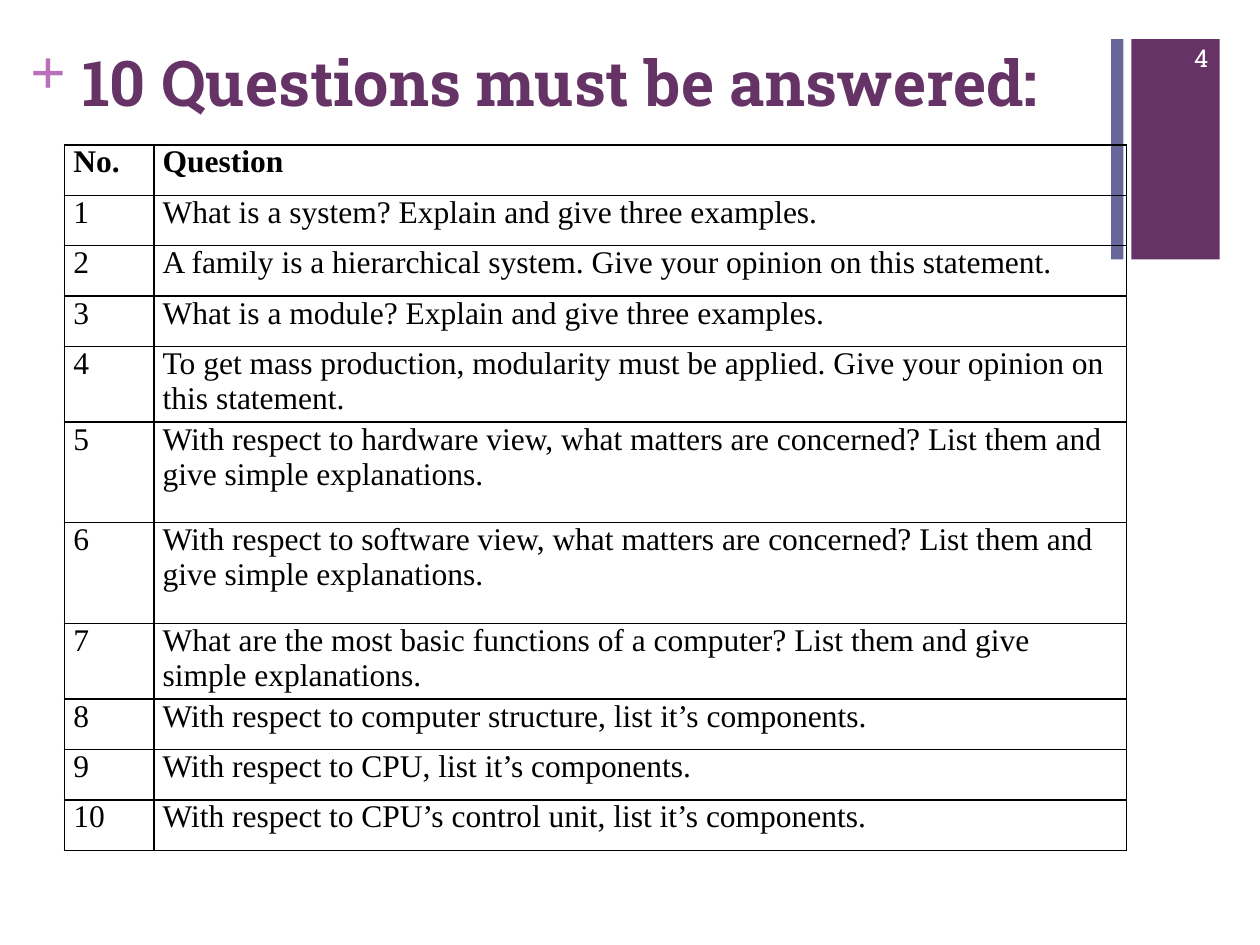
from lxml.etree import SubElement
from pptx import Presentation
from pptx.dml.color import RGBColor
from pptx.enum.shapes import MSO_SHAPE
from pptx.enum.text import MSO_ANCHOR, PP_ALIGN
from pptx.oxml.ns import qn
from pptx.util import Cm, Pt

PURPLE = RGBColor(0x66, 0x33, 0x66)
ORCHID = RGBColor(0xB8, 0x70, 0xB8)
SLATE = RGBColor(0x66, 0x66, 0x99)
WHITE = RGBColor(0xFF, 0xFF, 0xFF)
BLACK = RGBColor(0x00, 0x00, 0x00)
SLAB = "Roboto Slab"
TIMES = "Times New Roman"
NO_MARGINS = dict.fromkeys(
    ("margin_left", "margin_top", "margin_right", "margin_bottom"), Cm(0))
CELL_MARGINS = {**NO_MARGINS, "margin_left": Cm(0.18), "margin_right": Cm(0.18)}

QUESTIONS = [
    "What is a system? Explain and give three examples.",
    "A family is a hierarchical system. Give your opinion on this statement.",
    "What is a module? Explain and give three examples.",
    "To get mass production, modularity must be applied. "
    "Give your opinion on this statement.",
    "With respect to hardware view, what matters are concerned? "
    "List them and give simple explanations.",
    "With respect to software view, what matters are concerned? "
    "List them and give simple explanations.",
    "What are the most basic functions of a computer? "
    "List them and give simple explanations.",
    "With respect to computer structure, list it’s components.",
    "With respect to CPU, list it’s components.",
    "With respect to CPU’s control unit, list it’s components.",
]
TALL_ROWS = (5, 6)


def apply(target, values):
    """Set every attribute named in values on target."""
    for name, value in values.items():
        setattr(target, name, value)


def write(frame, text, color, align=PP_ALIGN.LEFT, **font):
    """Fill a text frame with one formatted paragraph."""
    para = frame.paragraphs[0]
    para.alignment = align
    span = para.add_run()
    span.text = text
    apply(span.font, font)
    span.font.color.rgb = color


def add_bar(page, left, width, color):
    """Add a plain vertical bar at the top right."""
    bar = page.shapes.add_shape(
        MSO_SHAPE.RECTANGLE, Cm(left), Cm(0.79), Cm(width), Cm(4.44))
    bar.shadow.inherit = False
    bar.fill.solid()
    bar.fill.fore_color.rgb = color
    bar.line.fill.background()


def add_label(page, place, text, color, layout, **style):
    """Add a text box holding one short label."""
    box = page.shapes.add_textbox(*map(Cm, place))
    apply(box.text_frame, {"word_wrap": True, **layout})
    write(box.text_frame, text, color, **style)


def add_title(page, text):
    """Move and format the title placeholder."""
    title = page.shapes.title
    apply(title, {"left": Cm(1.4), "top": Cm(0.74),
                  "width": Cm(20.98), "height": Cm(1.57)})
    apply(title.text_frame, {"word_wrap": True, "vertical_anchor": MSO_ANCHOR.TOP})
    write(title.text_frame, text, PURPLE, size=Pt(36), name=SLAB, bold=True)


def add_borders(cell):
    """Draw a thin black line on all four sides of a cell."""
    properties = cell._tc.get_or_add_tcPr()
    for side in ("lnL", "lnR", "lnT", "lnB"):
        line = SubElement(properties, qn(f"a:{side}"), w=str(Pt(1)))
        fill = SubElement(line, qn("a:solidFill"))
        SubElement(fill, qn("a:srgbClr"), val=str(BLACK))


def add_question_table(page):
    """Add the numbered table of questions."""
    rows = [("No.", "Question")]
    rows += [(str(number), text) for number, text in enumerate(QUESTIONS, 1)]
    table = page.shapes.add_table(
        len(rows), 2, Cm(1.3), Cm(2.92), Cm(21.41), Cm(13.21)).table
    apply(table, {"first_row": False, "horz_banding": False})
    for column, width in zip(table.columns, (1.8, 19.61)):
        column.width = Cm(width)
    for index, texts in enumerate(rows):
        table.rows[index].height = Cm(2.03 if index in TALL_ROWS else 1.016)
        for cell, text in zip(table.rows[index].cells, texts):
            apply(cell, CELL_MARGINS)
            add_borders(cell)
            cell.fill.background()
            write(cell.text_frame, text, BLACK,
                  size=Pt(18), name=TIMES, bold=index == 0)


def main():
    """Build the slide and save it."""
    deck = Presentation()
    apply(deck, {"slide_width": Cm(25.4), "slide_height": Cm(19.05)})
    page = deck.slides.add_slide(deck.slide_layouts[5])
    add_bar(page, 22.81, 1.78, PURPLE)
    add_label(page, (0.61, 0.64, 0.74, 1.55), "+", ORCHID, NO_MARGINS,
              size=Pt(36), name=TIMES, bold=True)
    add_bar(page, 22.4, 0.25, SLATE)
    add_title(page, "10 Questions must be answered:")
    add_label(page, (23.06, 0.66, 1.55, 1.02), "4", WHITE,
              {"vertical_anchor": MSO_ANCHOR.MIDDLE},
              align=PP_ALIGN.RIGHT, size=Pt(14), name=SLAB)
    add_question_table(page)
    deck.save("out.pptx")


if __name__ == "__main__":
    main()
